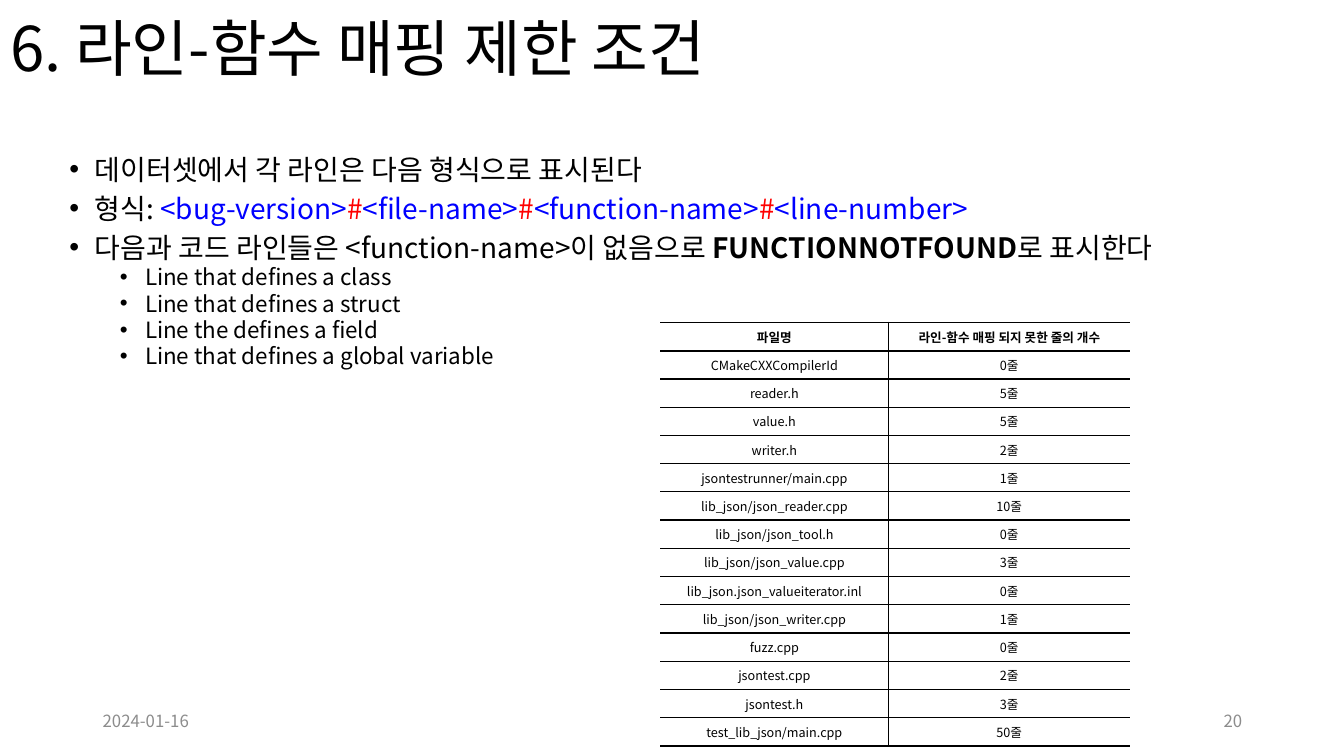
import dataclasses

import lxml.etree
import pptx
import pptx.dml.color
import pptx.enum.text
import pptx.oxml.ns
import pptx.util

Inches, Pt = pptx.util.Inches, pptx.util.Pt
qn = pptx.oxml.ns.qn
ALIGN = pptx.enum.text.PP_ALIGN
ANCHOR = pptx.enum.text.MSO_ANCHOR


@dataclasses.dataclass
class Theme:
    font: str = "Noto Sans CJK KR"
    ink: str = "000000"
    blue: str = "0000FF"
    red: str = "FF0000"
    grey: str = "8C8C8C"
    title: int = 44
    body: int = 20
    sub: int = 16
    foot: int = 12
    cell: int = 9
    thin: float = 1
    thick: float = 1.5


class Page:
    def __init__(self, deck, theme):
        self.theme = theme
        self.slide = deck.slides.add_slide(deck.slide_layouts[5])

    def style(self, run, size, color, bold=False):
        font = run.font
        font.size, font.bold, font.name = Pt(size), bold, self.theme.font
        font.color.rgb = pptx.dml.color.RGBColor.from_string(color)
        east = lxml.etree.SubElement(font._element, qn("a:ea"))
        east.set("typeface", self.theme.font)

    def line(self, para, text, size, color, align=ALIGN.LEFT, bold=False):
        para.text, para.alignment = text, align
        self.style(para.runs[0], size, color, bold)

    def title(self, text, box):
        shape = self.slide.shapes.title
        shape.left, shape.top, shape.width, shape.height = map(Inches, box)
        frame = shape.text_frame
        frame.auto_size = pptx.enum.text.MSO_AUTO_SIZE.NONE
        frame.vertical_anchor = ANCHOR.MIDDLE
        self.line(frame.paragraphs[0], text, self.theme.title, self.theme.ink)
        frame.paragraphs[0].line_spacing = 0.9

    def frame(self, box, anchor):
        frame = self.slide.shapes.add_textbox(*map(Inches, box)).text_frame
        frame.word_wrap, frame.vertical_anchor = True, anchor
        return frame

    def label(self, text, box, align):
        frame = self.frame(box, ANCHOR.MIDDLE)
        self.line(frame.paragraphs[0], text, self.theme.foot, self.theme.grey, align)

    def bullets(self, items, box):
        frame = self.frame(box, ANCHOR.TOP)
        for i, (level, parts) in enumerate(items):
            para = frame.add_paragraph() if i else frame.paragraphs[0]
            para.level, para.line_spacing = level, 0.8
            para.space_before = Pt(3.5 if level else 8.5)
            props = para._p.get_or_add_pPr()
            props.set("marL", str(Inches(0.25 + 0.5 * level)))
            props.set("indent", str(Inches(-0.25)))
            face = lxml.etree.SubElement(props, qn("a:buFont"))
            face.set("typeface", "Arial")
            lxml.etree.SubElement(props, qn("a:buChar")).set("char", "•")
            size = self.theme.sub if level else self.theme.body
            for text, color, bold in parts:
                run = para.add_run()
                run.text = text
                self.style(run, size, color, bold)

    def border(self, cell, sides):
        props = cell._tc.get_or_add_tcPr()
        for i, (side, width) in enumerate(sides.items()):
            edge = lxml.etree.Element(qn("a:ln" + side))
            if width:
                edge.set("w", str(Pt(width)))
                fill = lxml.etree.SubElement(edge, qn("a:solidFill"))
                tint = lxml.etree.SubElement(fill, qn("a:srgbClr"))
                tint.set("val", self.theme.ink)
            else:
                lxml.etree.SubElement(edge, qn("a:noFill"))
            props.insert(i, edge)

    def table(self, rows, left, top, widths, height):
        look, last = self.theme, len(rows) - 1
        table = self.slide.shapes.add_table(
            len(rows), len(widths), Inches(left), Inches(top),
            Inches(sum(widths)), Inches(height * len(rows))).table
        table.first_row = table.horz_banding = False
        for col, width in zip(table.columns, widths):
            col.width = Inches(width)
        for r, row in enumerate(rows):
            table.rows[r].height = Inches(height)
            for c, text in enumerate(row):
                cell = table.cell(r, c)
                cell.fill.background()
                self.line(cell.text_frame.paragraphs[0], text, look.cell,
                          look.ink, ALIGN.CENTER, r == 0)
                self.border(cell, {
                    "L": look.thin if c else 0,
                    "R": 0 if c == len(widths) - 1 else look.thin,
                    "T": look.thick if r < 2 else look.thin,
                    "B": look.thick if r in (0, last) else look.thin})


def main():
    deck = pptx.Presentation()
    deck.slide_width, deck.slide_height = Inches(13.33), Inches(7.5)
    look = Theme()
    page = Page(deck, look)

    # Title
    page.title("6. 라인-함수 매핑 제한 조건", (0, 0, 11.5, 1.03))

    # Bullets, with the line format in colour
    form = [("형식: ", look.ink, False)]
    for i, name in enumerate(("bug-version", "file-name", "function-name", "line-number")):
        if i:
            form.append(("#", look.red, False))
        form.append((f"<{name}>", look.blue, False))
    items = [
        (0, [("데이터셋에서 각 라인은 다음 형식으로 표시된다", look.ink, False)]),
        (0, form),
        (0, [("다음과 코드 라인들은 <function-name>이 없음으로 ", look.ink, False),
             ("FUNCTIONNOTFOUND", look.ink, True),
             ("로 표시한다", look.ink, False)]),
    ]
    for text in ("Line that defines a class", "Line that defines a struct",
                 "Line the defines a field", "Line that defines a global variable"):
        items.append((1, [(text, look.ink, False)]))
    page.bullets(items, (0.59, 1.53, 12.16, 4.76))

    # Footer
    page.label("2024-01-16", (0.92, 6.95, 3, 0.4), ALIGN.LEFT)
    page.label("20", (9.42, 6.95, 3, 0.4), ALIGN.RIGHT)

    # Unmapped lines per file
    counts = {
        "CMakeCXXCompilerId": 0, "reader.h": 5, "value.h": 5, "writer.h": 2,
        "jsontestrunner/main.cpp": 1, "lib_json/json_reader.cpp": 10,
        "lib_json/json_tool.h": 0, "lib_json/json_value.cpp": 3,
        "lib_json.json_valueiterator.inl": 0, "lib_json/json_writer.cpp": 1,
        "fuzz.cpp": 0, "jsontest.cpp": 2, "jsontest.h": 3,
        "test_lib_json/main.cpp": 50,
    }
    rows = [("파일명", "라인-함수 매핑 되지 못한 줄의 개수")]
    rows += [(name, f"{count}줄") for name, count in counts.items()]
    page.table(rows, 6.55, 3.2, (2.26, 2.4), 0.28)

    deck.save("out.pptx")


if __name__ == "__main__":
    main()
